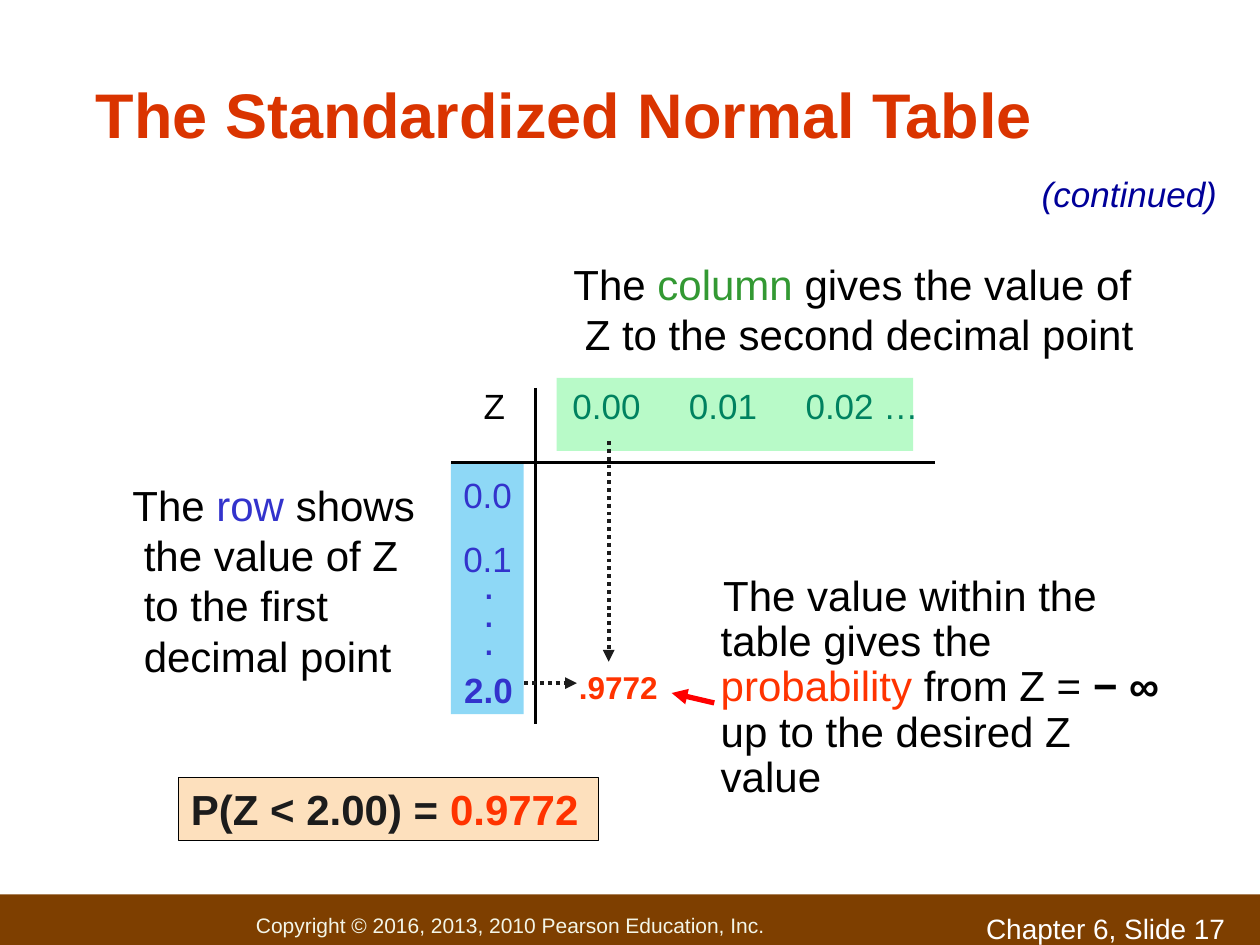
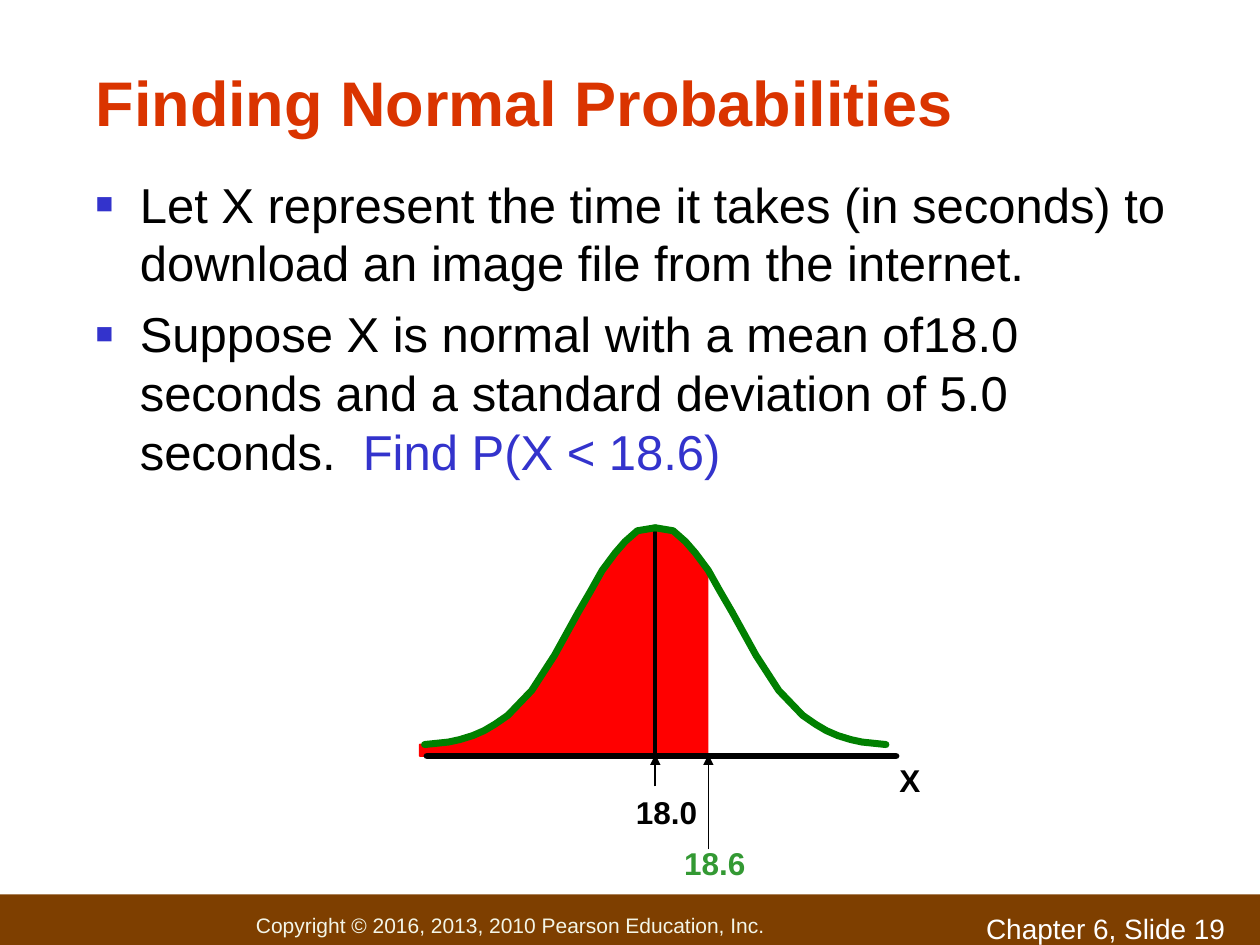
from lxml import etree
from pptx import Presentation
from pptx.dml.color import RGBColor
from pptx.enum.dml import MSO_LINE
from pptx.enum.shapes import MSO_CONNECTOR, MSO_SHAPE
from pptx.enum.text import MSO_ANCHOR, MSO_AUTO_SIZE, PP_ALIGN
from pptx.oxml.ns import qn
from pptx.util import Cm, Pt

STRAIGHT = MSO_CONNECTOR.STRAIGHT
RECTANGLE = MSO_SHAPE.RECTANGLE
DOTTED = MSO_LINE.ROUND_DOT
TOP, MIDDLE, BOTTOM = MSO_ANCHOR.TOP, MSO_ANCHOR.MIDDLE, MSO_ANCHOR.BOTTOM
LEFT, CENTER = PP_ALIGN.LEFT, PP_ALIGN.CENTER

FONT = "Arial"
COLORS = {
    "title": "DA3400", "band": "7E3F00", "copyright": "F3F5E7", "white": "FFFFFF",
    "black": "000000", "ink": "1C1C1C", "navy": "000099", "blue": "3333CC",
    "green": "339933", "teal": "008260", "orange": "FF3300", "red": "FF0000",
    "curve": "008000", "column": "B8FAC8", "row": "8ED8F6", "result": "FDE0BD",
}
HALF_CURVE = [
    (0, 0), (0.36, 0.06), (0.61, 0.28), (0.81, 0.51), (1.07, 0.86), (1.3, 1.27),
    (1.55, 1.7), (2.03, 2.57), (2.49, 3.28), (2.97, 3.78), (3.23, 3.96),
    (3.45, 4.09), (3.68, 4.19), (3.94, 4.27), (4.17, 4.32), (4.65, 4.37),
]


def rgb(name):
    return RGBColor.from_string(COLORS[name])


def add_run(p, text, size, color, bold=False, italic=False):
    r = p.add_run()
    r.text = text
    r.font.name = FONT
    r.font.size = Pt(size)
    r.font.bold = bold
    r.font.italic = italic
    r.font.color.rgb = rgb(color)


def add_runs(p, runs, size, bold=False, italic=False):
    for text, color in runs:
        add_run(p, text, size, color, bold, italic)


def set_frame(sp, inset=0.25, anchor=TOP):
    tf = sp.text_frame
    tf.word_wrap = True
    tf.auto_size = MSO_AUTO_SIZE.NONE
    tf.vertical_anchor = anchor
    tf.margin_left = tf.margin_right = Cm(inset)
    tf.margin_top = tf.margin_bottom = Cm(0.13)
    return tf


def add_text(slide, box, runs, size, bold=False, italic=False, align=LEFT, inset=0.25):
    sp = slide.shapes.add_textbox(*map(Cm, box))
    p = set_frame(sp, inset).paragraphs[0]
    p.alignment = align
    add_runs(p, runs, size, bold, italic)
    return p


def set_indent(p, margin, indent):
    pPr = p._p.get_or_add_pPr()
    pPr.set("marL", str(Cm(margin)))
    pPr.set("indent", str(Cm(indent)))
    return pPr


def set_tabs(p, stops):
    tabs = etree.SubElement(p._p.get_or_add_pPr(), qn("a:tabLst"))
    for stop in stops:
        etree.SubElement(tabs, qn("a:tab"), pos=str(Cm(stop)), algn="l")


def set_bullet(p):
    pPr = set_indent(p, 0.89, -0.89)
    color = etree.SubElement(pPr, qn("a:buClr"))
    etree.SubElement(color, qn("a:srgbClr"), val=COLORS["blue"])
    etree.SubElement(pPr, qn("a:buSzPct"), val="60000")
    etree.SubElement(pPr, qn("a:buFont"), typeface=FONT)
    etree.SubElement(pPr, qn("a:buChar"), char="■")


def add_rect(slide, box, fill):
    sp = slide.shapes.add_shape(RECTANGLE, *map(Cm, box))
    sp.shadow.inherit = False
    sp.fill.solid()
    sp.fill.fore_color.rgb = rgb(fill)
    sp.line.fill.background()
    return sp


def set_line(sp, color, width, dash=None):
    sp.line.color.rgb = rgb(color)
    sp.line.width = Pt(width)
    if dash:
        sp.line.dash_style = dash


def add_line(slide, start, end, color, width, arrow=False, dash=None, round_cap=False):
    line = slide.shapes.add_connector(STRAIGHT, *map(Cm, (*start, *end)))
    set_line(line, color, width, dash)
    ln = line.line._get_or_add_ln()
    if arrow:
        etree.SubElement(ln, qn("a:tailEnd"), type="triangle")
    if round_cap:
        ln.set("cap", "rnd")
    etree.SubElement(line._element.spPr, qn("a:effectLst"))


def add_outline(slide, points, close):
    points = [(Cm(x), Cm(y)) for x, y in points]
    builder = slide.shapes.build_freeform(*points[0], scale=1.0)
    builder.add_line_segments(points[1:], close=close)
    sp = builder.convert_to_shape()
    sp.shadow.inherit = False
    return sp


def add_area(slide, points):
    sp = add_outline(slide, points, True)
    sp.fill.solid()
    sp.fill.fore_color.rgb = rgb("red")
    sp.line.fill.background()
    return sp


def add_footer(slide, number):
    band = add_rect(slide, (0, 18.03, 25.4, 1.25), "band")
    tf = set_frame(band, 0, MIDDLE)
    tf.margin_left = Cm(5.16)
    tf.paragraphs[0].alignment = LEFT
    add_run(tf.paragraphs[0], "Copyright © 2016, 2013, 2010 Pearson Education, Inc.", 12, "copyright")
    add_text(slide, (19.63, 18.24, 5.77, 0.66), [(f"Chapter 6, Slide {number}", "white")], 16)


def add_slide(prs, title, title_box, number):
    slide = prs.slides.add_slide(prs.slide_layouts[5])
    add_footer(slide, number)
    sp = slide.shapes.title
    sp.left, sp.top, sp.width, sp.height = map(Cm, title_box)
    p = set_frame(sp, 0.23, BOTTOM).paragraphs[0]
    p.alignment = LEFT
    add_run(p, title, 36, "title", bold=True)
    return slide


def add_z_table(slide, left, top):
    def at(x, y):
        return left + x, top + y

    add_rect(slide, (*at(2.13, 0), 7.19, 1.47), "column")
    add_rect(slide, (*at(0, 1.7), 1.47, 5.08), "row")

    header = add_text(slide, (*at(0, 0), 11, 4.19), [], 20)
    set_tabs(header, [0.41] + [2.2 + 2.35 * i for i in range(3)])
    add_runs(header, [("\tZ", "black"), ("\t0.00\t0.01\t0.02 …", "teal")], 20)
    tf = slide.shapes[-1].text_frame
    for label, gap in (("0.0", 27), ("0.1", 12.5)):
        p = tf.add_paragraph()
        p.space_before = Pt(gap)
        add_run(p, label, 20, "blue")

    add_text(slide, (*at(0.23, 4.01), 1.07, 1.8), [], 24)
    dots = slide.shapes[-1].text_frame
    for i in range(3):
        p = dots.add_paragraph() if i else dots.paragraphs[0]
        p.alignment = CENTER
        p.line_spacing = 0.4
        if i:
            p.space_before = Pt(4.5)
        add_run(p, ".", 24, "blue")

    add_text(slide, (*at(-0.41, 5.72), 2.34, 1.12), [("2.0", "blue")], 20, bold=True, align=CENTER)
    add_text(slide, (*at(2.33, 5.72), 2.74, 1.02), [(".9772", "orange")], 18, bold=True)
    add_line(slide, at(1.7, 0.2), at(1.7, 6.98), "black", 1.5)
    add_line(slide, at(0, 1.7), at(9.75, 1.7), "black", 1.5)
    add_line(slide, at(3.18, 1.27), at(3.18, 5.72), "ink", 2.25, True, DOTTED)
    add_line(slide, at(1.48, 6.15), at(2.54, 6.15), "ink", 2.25, True, DOTTED)
    add_line(slide, at(5.31, 6.55), at(4.45, 6.35), "red", 3, True)


def add_callout(slide, box, runs, indent):
    p = add_text(slide, box, runs, 24, inset=0.23)
    set_indent(p, 1.6, indent)
    return p


def add_result(slide, box):
    sp = add_rect(slide, box, "result")
    set_line(sp, "black", 0.75)
    p = set_frame(sp).paragraphs[0]
    p.alignment = LEFT
    add_runs(p, [("P(Z < 2.00) =", "ink"), (" 0.9772", "orange")], 24, bold=True)


def add_bullets(slide, box, items):
    sp = slide.shapes.add_textbox(*map(Cm, box))
    tf = set_frame(sp, 0.23)
    for i, runs in enumerate(items):
        p = tf.add_paragraph() if i else tf.paragraphs[0]
        set_bullet(p)
        if i:
            p.space_before = Pt(7)
        add_runs(p, runs, 28)


def add_normal_curve(slide, left, top):
    mean, base, cut = left + 4.75, 4.6, 1.07

    def at(x, y):
        return mean + x, top + y

    left_half = [at(-x, y) for x, y in HALF_CURVE]
    right_half = [at(x, y) for x, y in HALF_CURVE]
    below_cut = [at(x, y) for x, y in HALF_CURVE if x <= cut]

    add_area(slide, below_cut + [at(cut, base), at(0, base)])
    tail = add_area(slide, left_half + [at(-4.75, 4.37), at(-4.75, base), at(0, base)])
    set_line(tail, "red", 1)
    add_line(slide, at(0, 0.03), at(0, base), "black", 2.5)
    for half in (right_half, left_half):
        curve = add_outline(slide, half, False)
        curve.fill.background()
        set_line(curve, "curve", 4)
        curve.line._get_or_add_ln().set("cap", "rnd")
    add_line(slide, at(-4.6, base), at(4.85, base), "black", 4, round_cap=True)

    for text, x, y, color in (("X", 4.67, 4.57, "black"), ("18.0", -0.64, 5.21, "black"),
                              ("18.6", 0.33, 6.25, "green")):
        add_text(slide, (*at(x, y), 2, 1.02), [(text, color)], 18, bold=True)
    for x, y in ((0, 5.21), (cut, 6.48)):
        add_line(slide, at(x, y), at(x, 4.57), "black", 1, True)


def build_table_slide(prs):
    slide = add_slide(prs, "The Standardized Normal Table", (1.7, 0.84, 21.13, 2.34), 17)
    add_text(slide, (20.75, 3.35, 4.24, 1.12), [("(continued)", "navy")], 20, italic=True)
    add_z_table(slide, 9.09, 7.62)
    add_callout(slide, (9.96, 5.08, 13.34, 2.74), [
        ("The ", "black"), ("column ", "green"),
        ("gives the value of Z to the second decimal point", "black")], -0.23)
    add_callout(slide, (1.07, 9.53, 7.82, 4.65), [
        ("The ", "black"), ("row ", "blue"),
        ("shows the value of Z to the first decimal point", "black")], -0.23)
    p = add_callout(slide, (12.7, 11.46, 11.23, 5.38), [
        ("The value within the table gives the ", "black"), ("probability ", "orange"),
        ("from Z = ", "black")], 0.05)
    p.line_spacing = 0.9
    add_run(p, "− ∞", 24, "black", bold=True)
    add_run(p, " up to the desired Z value", 24, "black")
    add_result(slide, (3.6, 15.67, 8.47, 1.27))


def build_curve_slide(prs):
    slide = add_slide(prs, "Finding Normal Probabilities", (1.7, 0.2, 20.5, 2.74), 19)
    add_bullets(slide, (1.7, 3.38, 22.86, 7.42), [
        [("Let X represent the time it takes (in seconds) to download an image file "
          "from the internet.", "black")],
        [("Suppose X is normal with a mean of18.0 seconds and a standard deviation of "
          "5.0 seconds.  ", "black"), ("Find P(X < 18.6)", "blue")],
    ])
    add_normal_curve(slide, 8.46, 10.64)


def main():
    prs = Presentation()
    prs.slide_width, prs.slide_height = Cm(25.4), Cm(19.05)
    build_table_slide(prs)
    build_curve_slide(prs)
    prs.save("out.pptx")


if __name__ == "__main__":
    main()
